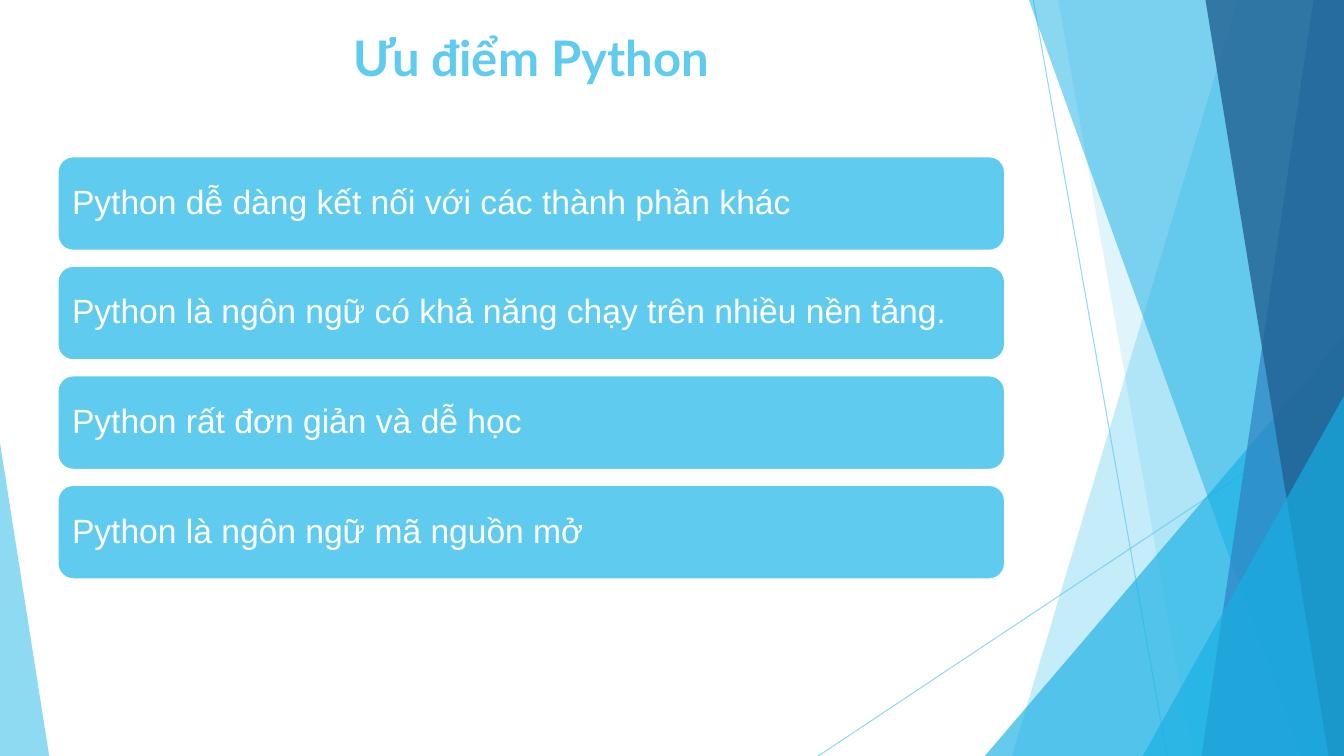
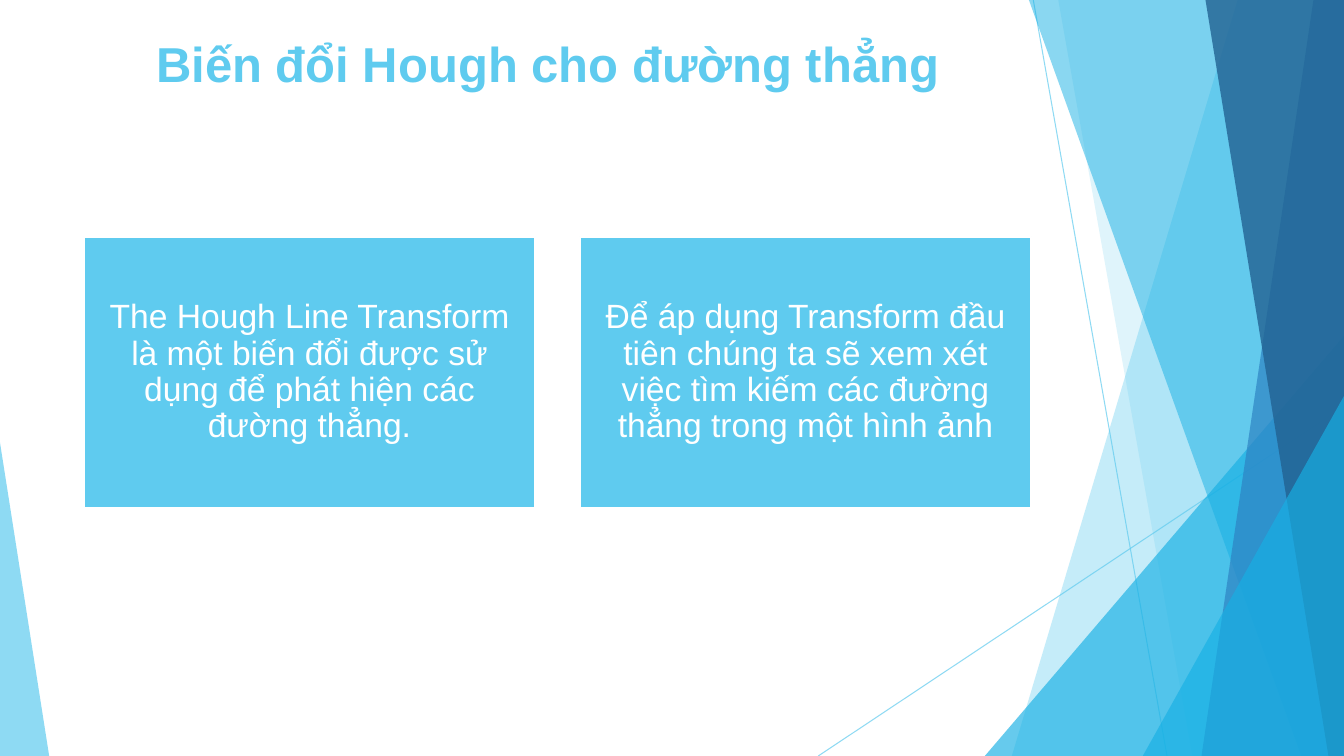
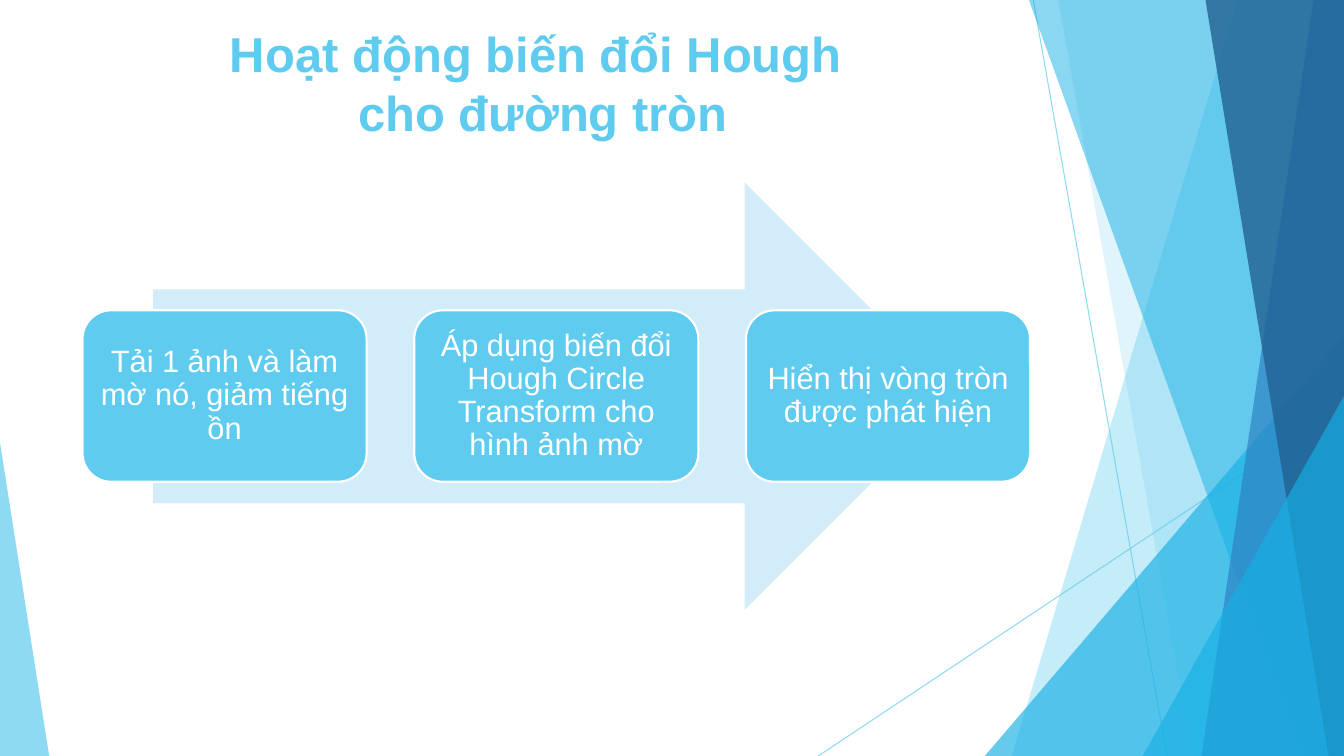
from lxml import etree
from pptx import Presentation
from pptx import util as u
from pptx.dml.color import RGBColor
from pptx.enum import shapes, text
from pptx.oxml.ns import qn

COLORS = {
    "sky": "5FCBEF",
    "azure": "17B0E4",
    "blue": "2E83C3",
    "navy": "226292",
    "pale": "D2ECF9",
    "white": "FFFFFF",
}
WIDTH, HEIGHT = 33.87, 19.05
KINDS = shapes.MSO_SHAPE
LEFT, CENTER = text.PP_ALIGN.LEFT, text.PP_ALIGN.CENTER


def color(name):
    return RGBColor.from_string(COLORS[name])


def lengths(*values):
    return [u.Cm(value) for value in values]


def apply(target, formats):
    for name, value in formats.items():
        setattr(target, name, value)


def set_opacity(shape, percent):
    for tone in shape.element.iter(qn("a:srgbClr")):
        etree.SubElement(tone, qn("a:alpha"), val=str(percent * 1000))


def paint(shape, fill, outline=None):
    shape.shadow.inherit = False
    shape.fill.solid()
    shape.fill.fore_color.rgb = color(fill)
    if outline:
        shape.line.color.rgb = color(outline)
        shape.line.width = u.Pt(1.5)
    else:
        shape.line.fill.background()


def add_block(page, kind, box, fill, outline=None):
    shape = page.shapes.add_shape(kind, *lengths(*box))
    paint(shape, fill, outline)
    return shape


def add_ray(page, start, end):
    ray = page.shapes.add_connector(
        shapes.MSO_CONNECTOR.STRAIGHT, *lengths(*start, *end))
    ray.line.color.rgb = color("sky")
    ray.line.width = u.Pt(0.75)
    set_opacity(ray, 70)
    etree.SubElement(ray.element.spPr, qn("a:effectLst"))


def add_band(page, top_x, bottom_x, fill, opacity):
    """Fill the page from a slanted left edge to its right edge."""
    corners = [(top_x, 0), (WIDTH, 0), (WIDTH, HEIGHT), (bottom_x, HEIGHT)]
    points = [lengths(*corner) for corner in corners]
    builder = page.shapes.build_freeform(*points[0])
    builder.add_line_segments(points[1:])
    band = builder.convert_to_shape()
    paint(band, fill)
    set_opacity(band, opacity)


def add_corner(page, left, top, width, apex, fill, opacity):
    """Add a triangle standing on the bottom edge; apex 0 is left, 1 right."""
    box = (left, top, width, HEIGHT - top)
    corner = add_block(page, KINDS.ISOSCELES_TRIANGLE, box, fill)
    corner.adjustments[0] = apex
    set_opacity(corner, opacity)


def add_facets(page):
    add_ray(page, (26.04, 0), (29.41, HEIGHT))
    add_ray(page, (WIDTH, 10.24), (20.62, HEIGHT))
    add_band(page, 31.19, 25.5, "sky", 36)
    add_band(page, 26.67, 30.05, "sky", 20)
    add_corner(page, 24.82, 8.46, WIDTH - 24.82, 1, "azure", 66)
    add_band(page, 25.93, 32.79, "azure", 50)
    add_band(page, 33.1, 30.28, "blue", 70)
    add_band(page, 30.38, 33.48, "navy", 80)
    add_corner(page, 28.8, 9.98, WIDTH - 28.8, 1, "azure", 66)
    add_corner(page, 0, 11.15, 1.24, 0, "sky", 70)


def move_to_layout(page):
    """Hand the page's shapes to its layout, so that every page shows them."""
    for shape in list(page.shapes):
        page.slide_layout.shapes.element.append(shape.element)


def write(para, words, size, tone, font="Arial", bold=False):
    span = para.add_run()
    span.text = words
    apply(span.font, {"name": font, "size": u.Pt(size), "bold": bold})
    span.font.color.rgb = color(tone)


def add_title(page, lines, left, top, font="Arial"):
    box = page.shapes.add_textbox(*lengths(left, top, 23.88, 3.66))
    box.text_frame.word_wrap = True
    para = box.text_frame.paragraphs[0]
    para.alignment = CENTER
    for index, line in enumerate(lines):
        if index:
            para.add_line_break()
        write(para, line, 35, "sky", font, True)


def add_card(page, kind, box, spans, align, inset=0.25):
    """Add a filled card; spans are pairs of words and text size."""
    frame = add_block(page, kind, box, "sky", "white").text_frame
    sides = ("left", "top", "right", "bottom")
    apply(frame, {f"margin_{side}": u.Cm(inset) for side in sides})
    apply(frame, {"word_wrap": True, "vertical_anchor": text.MSO_ANCHOR.MIDDLE})
    para = frame.paragraphs[0]
    apply(para, {"alignment": align, "line_spacing": 0.9})
    for words, size in spans:
        write(para, words, size, "white")


def build_advantages(page):
    add_title(page, ["Ưu điểm Python"], 1.45, 0.58, "Lato")
    advantages = [
        [("Python dễ dàng kết nối với các thành phần khác", 24)],
        [("Python là ngôn ngữ có khả năng chạy trên nhiều nền tảng", 24),
         (".", 22)],
        [("Python rất đơn giản và dễ học", 24)],
        [("Python là ngôn ngữ mã nguồn mở", 24)],
    ]
    height, gap = 2.38, 0.38
    for row, spans in enumerate(advantages):
        box = (1.45, 3.94 + row * (height + gap), 23.88, height)
        add_card(page, KINDS.ROUNDED_RECTANGLE, box, spans, LEFT)


def build_line_transform(page):
    add_title(page, ["Biến đổi Hough cho đường thẳng"], 1.88, 0.71)
    notes = [
        "The Hough Line Transform là một biến đổi được sử dụng để phát hiện "
        "các đường thẳng.",
        "Để áp dụng Transform đầu tiên chúng ta sẽ xem xét việc tìm kiếm "
        "các đường thẳng trong một hình ảnh",
    ]
    width, gap = 11.38, 1.12
    for column, note in enumerate(notes):
        box = (2.11 + column * (width + gap), 5.97, width, 6.83)
        add_card(page, KINDS.RECTANGLE, box, [(note, 24)], CENTER)


def build_circle_steps(page):
    add_block(page, KINDS.RIGHT_ARROW, (3.86, 4.6, 20.29, 10.77), "pale")
    steps = [
        "Tải 1 ảnh và làm mờ nó, giảm tiếng ồn",
        "Áp dụng biến đổi Hough Circle Transform cho hình ảnh mờ",
        "Hiển thị vòng tròn được phát hiện",
    ]
    width, gap = 7.16, 1.2
    for column, step in enumerate(steps):
        box = (2.08 + column * (width + gap), 7.82, width, 4.32)
        add_card(page, KINDS.ROUNDED_RECTANGLE, box, [(step, 22)], CENTER, 0.23)
    add_title(page, ["Hoạt động biến đổi Hough ", "cho đường tròn"], 1.75, 0.48)


def main():
    deck = Presentation()
    deck.slide_width, deck.slide_height = lengths(WIDTH, HEIGHT)
    blank = deck.slide_layouts[6]
    builders = [build_advantages, build_line_transform, build_circle_steps]
    pages = [deck.slides.add_slide(blank) for _ in builders]
    add_facets(pages[0])
    move_to_layout(pages[0])
    for build, page in zip(builders, pages):
        build(page)
    deck.save("out.pptx")


if __name__ == "__main__":
    main()
